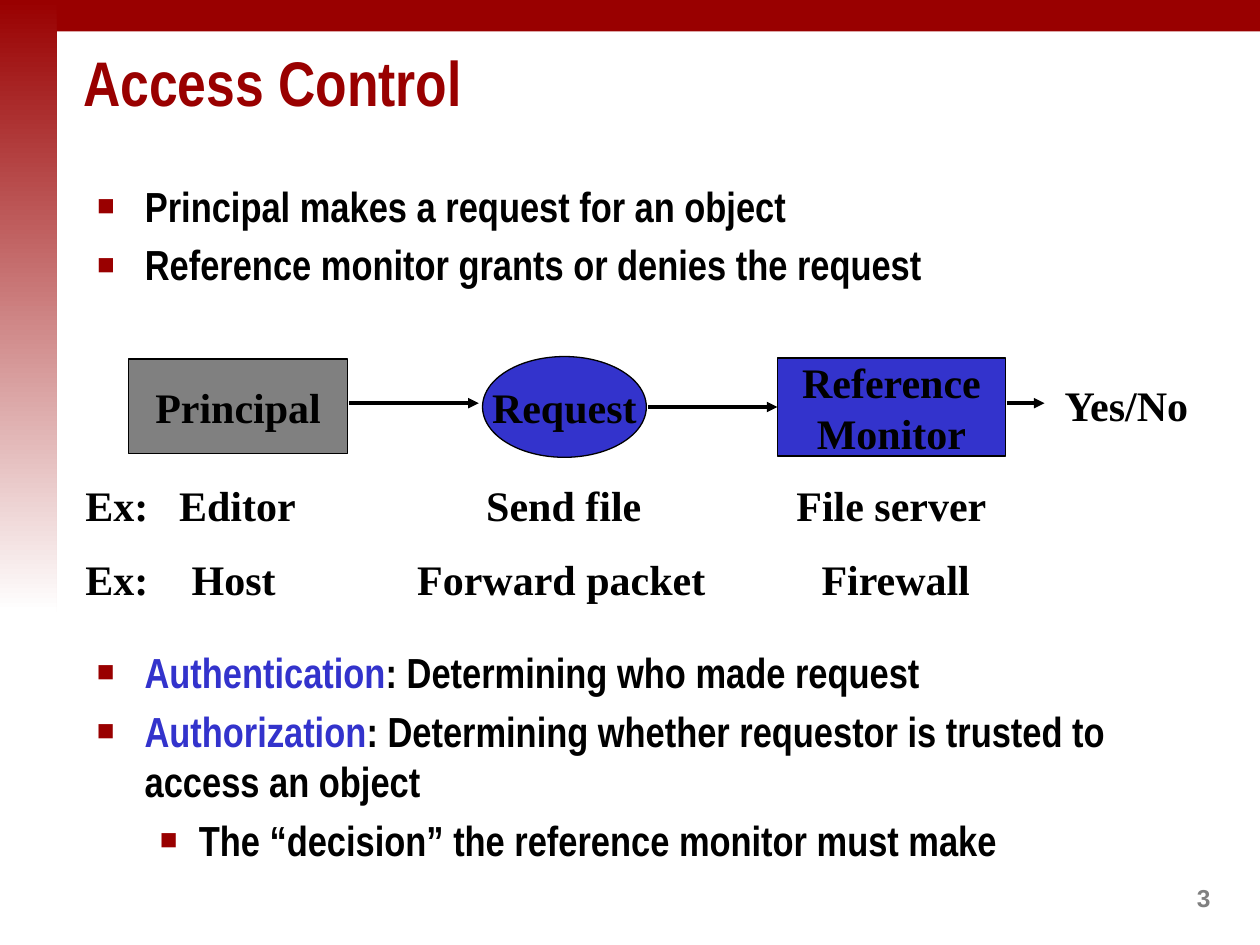
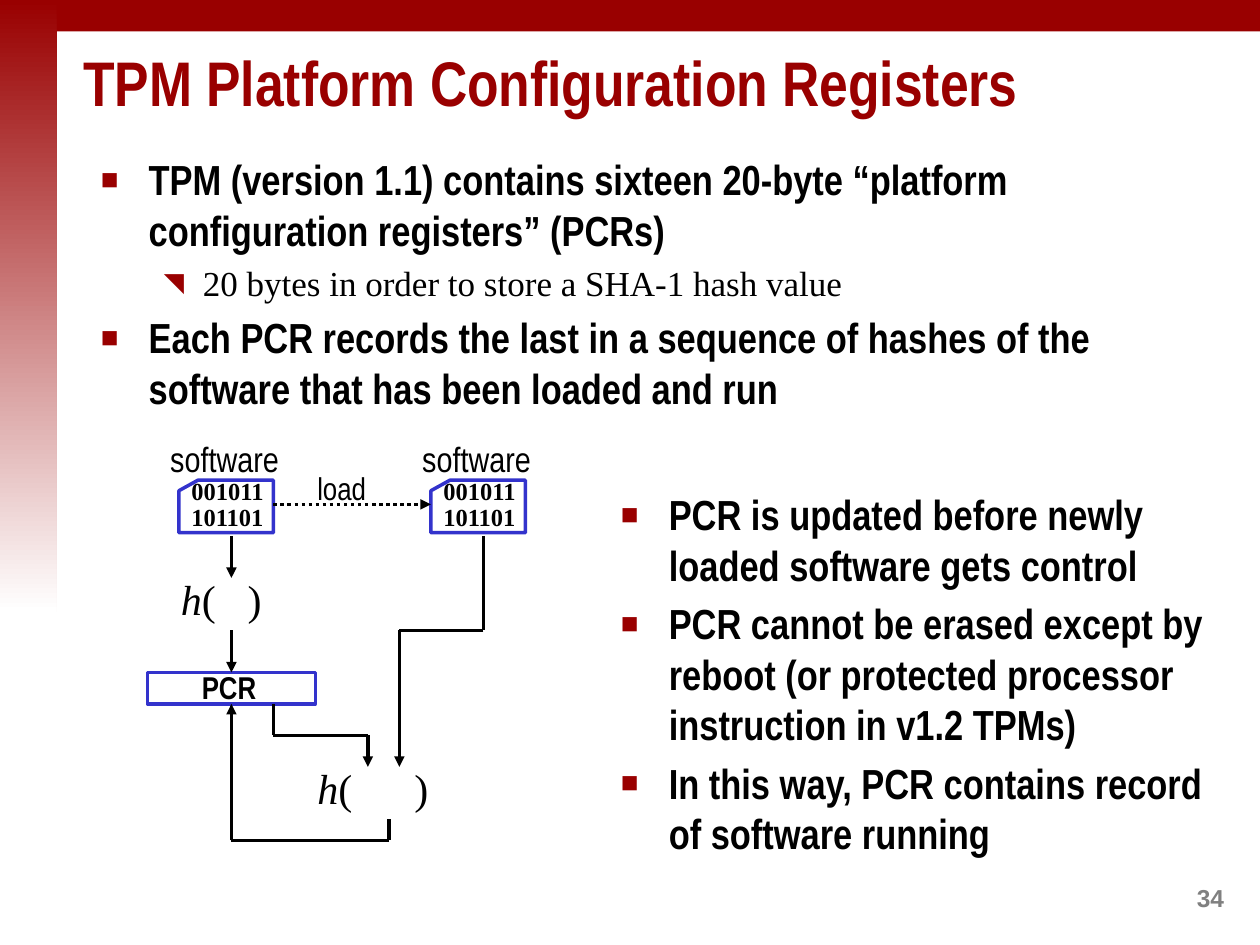
from pptx import Presentation
from pptx.dml.color import RGBColor
from pptx.enum.dml import MSO_LINE
from pptx.enum.shapes import MSO_CONNECTOR, MSO_SHAPE
from pptx.enum.text import MSO_ANCHOR, MSO_AUTO_SIZE, PP_ALIGN
from pptx.oxml.ns import qn
from pptx.util import Inches, Pt
from lxml import etree

RECT, OVAL, CARD = MSO_SHAPE.RECTANGLE, MSO_SHAPE.OVAL, MSO_SHAPE.FLOWCHART_CARD
STRAIGHT, DOTTED = MSO_CONNECTOR.STRAIGHT, MSO_LINE.ROUND_DOT
LEFT, CENTER = PP_ALIGN.LEFT, PP_ALIGN.CENTER
MIDDLE, TOP = MSO_ANCHOR.MIDDLE, MSO_ANCHOR.TOP

RED, BLUE, GRAY, BLACK, WHITE = "990000", "3333CC", "808080", "000000", "FFFFFF"
NARROW, SERIF = "Arial Narrow", "Times New Roman"

TITLE = dict(name=NARROW, size=36, bold=True, color=RED)
BODY = dict(name=NARROW, size=24, bold=True, color=BLACK)
TERM = dict(BODY, color=BLUE)
NOTE = dict(name=SERIF, size=20, bold=False, color=BLACK)
LABEL = dict(name=SERIF, size=24, bold=True, color=BLACK)
HASH = dict(LABEL, bold=False)
BITS = dict(LABEL, size=14)
SMALL = dict(name=NARROW, size=18, bold=False, color=BLACK)
NUMBER = dict(name="Arial", size=14, bold=True, color=GRAY)

# level: left margin, first line indent
INDENTS = {0: (0.38, -0.38), 1: (0.81, -0.31)}
SQUARE, CORNER = ("■", 70), ("◥", 75)


def rgb(color):
    return RGBColor.from_string(color)


class Grid:
    """Square cells of a given size in inches, counted from an origin."""

    def __init__(self, left, top, cell):
        self.left, self.top, self.cell = left, top, cell

    def point(self, col, row):
        return Inches(self.left + col * self.cell), Inches(self.top + row * self.cell)

    def box(self, col, row, cols, rows):
        return (*self.point(col, row), Inches(cols * self.cell), Inches(rows * self.cell))


PAGE = Grid(0, 0, 0.1)


def add_run(p, text, size, color, **fmt):
    r = p.add_run()
    r.text = text
    r.font.size = Pt(size)
    r.font.color.rgb = rgb(color)
    for key, value in fmt.items():
        setattr(r.font, key, value)


def paragraphs(tf, count):
    return [tf.paragraphs[0]] + [tf.add_paragraph() for _ in range(count - 1)]


def write(tf, lines, fmt, align=LEFT, anchor=TOP, wrap=False, spacing=1.0):
    tf.word_wrap, tf.vertical_anchor, tf.auto_size = wrap, anchor, MSO_AUTO_SIZE.NONE
    for p, line in zip(paragraphs(tf, len(lines)), lines):
        p.alignment, p.line_spacing = align, spacing
        add_run(p, line, **fmt)


def add_label(s, box, text, fmt, **layout):
    tf = s.shapes.add_textbox(*box).text_frame
    write(tf, text.split("\n"), fmt, **layout)


def add_bullet(p, char, percent):
    pPr = p._p.get_or_add_pPr()
    color = etree.SubElement(pPr, qn("a:buClr"))
    etree.SubElement(color, qn("a:srgbClr"), val=RED)
    etree.SubElement(pPr, qn("a:buSzPct"), val=str(percent * 1000))
    etree.SubElement(pPr, qn("a:buFont"), typeface="Arial")
    etree.SubElement(pPr, qn("a:buChar"), char=char)


def indent(p, margin, first):
    pPr = p._p.get_or_add_pPr()
    pPr.set("marL", str(Inches(margin)))
    pPr.set("indent", str(Inches(first)))


def fill_list(tf, items):
    """Each item is (level, bullet, runs), each run (text, format)."""
    tf.word_wrap, tf.auto_size = True, MSO_AUTO_SIZE.NONE
    for i, (p, (level, bullet, runs)) in enumerate(zip(paragraphs(tf, len(items)), items)):
        p.level = level
        p.space_before = Pt(0.2 * runs[0][1]["size"] if i else 0)
        indent(p, *INDENTS[level])
        add_bullet(p, *bullet)
        for text, fmt in runs:
            add_run(p, text, **fmt)


def point_item(text):
    return 0, SQUARE, [(text, BODY)]


def add_shape(s, kind, box, fill=None, line=None, width=0.75):
    sp = s.shapes.add_shape(kind, *box)
    sp.shadow.inherit = False
    if fill:
        sp.fill.solid()
        sp.fill.fore_color.rgb = rgb(fill)
    else:
        sp.fill.background()
    if line:
        sp.line.color.rgb = rgb(line)
        sp.line.width = Pt(width)
    else:
        sp.line.fill.background()
    return sp


def add_route(s, grid, *stops, dash=None):
    """Straight lines from stop to stop, with an arrowhead on the last."""
    for start, end in zip(stops, stops[1:]):
        line = s.shapes.add_connector(STRAIGHT, *grid.point(*start), *grid.point(*end))
        line.line.color.rgb = rgb(BLACK)
        line.line.width = Pt(2)
        if dash:
            line.line.dash_style = dash
        spPr = line._element.spPr
        if end is stops[-1]:
            etree.SubElement(spPr.find(qn("a:ln")), qn("a:tailEnd"), type="triangle")
        etree.SubElement(spPr, qn("a:effectLst"))


def place(holder, box):
    holder.left, holder.top, holder.width, holder.height = box
    return holder.text_frame


def add_slide(prs, title, number, body_box, items):
    s = prs.slides.add_slide(prs.slide_layouts[1])
    add_shape(s, RECT, PAGE.box(0, 0, 100, 2.5), RED)
    side = add_shape(s, RECT, PAGE.box(0, 0, 4.5, 48.6))
    side.fill.gradient()
    side.fill.gradient_angle = 270
    for stop, color in zip(side.fill.gradient_stops, (RED, WHITE)):
        stop.color.rgb = rgb(color)
    tf = place(s.shapes.title, PAGE.box(4.3, 2.3, 95.7, 8.3))
    write(tf, [title], TITLE, anchor=MIDDLE, wrap=True)
    indent(tf.paragraphs[0], 0.13, 0)
    fill_list(place(s.placeholders[1], body_box), items)
    add_label(s, PAGE.box(94, 69.6, 4.4, 3.3), str(number), NUMBER)
    return s


def add_list(s, box, items):
    fill_list(s.shapes.add_textbox(*box).text_frame, items)


def draw_request_flow(s, grid):
    nodes = [
        (RECT, (5.2, 0.5, 17.4, 7.5), GRAY, ["Principal"]),
        (OVAL, (33.3, 0.3, 13, 8), BLUE, ["Request"]),
        (RECT, (56.7, 0.4, 18.1, 7.8), BLUE, ["Reference", "Monitor"]),
    ]
    for kind, cells, fill, lines in nodes:
        sp = add_shape(s, kind, grid.box(*cells), fill, BLACK)
        write(sp.text_frame, lines, LABEL, align=CENTER, anchor=MIDDLE)
    for start, end, row in ((22.7, 33, 4), (46.4, 56.7, 4.3), (74.9, 77.9, 4)):
        add_route(s, grid, (start, row), (end, row))
    add_label(s, grid.box(78.5, 1.6, 12.2, 5), "Yes/No", LABEL)

    examples = [
        (9.6, [("Editor", 13.85), ("Send file", 39.75), ("File server", 65.75)]),
        (15.4, [("Host", 13.55), ("Forward packet", 39.55), ("Firewall", 66.1)]),
    ]
    width = 25
    for row, cells in examples:
        add_label(s, grid.box(0.8, row, 7, 5), "Ex:", LABEL)
        for text, middle in cells:
            add_label(s, grid.box(middle - width / 2, row, width, 5), text, LABEL, align=CENTER)


def draw_software(s, grid, col):
    add_label(s, grid.box(col, 4, 9.4, 6.2), "001011\n101101", BITS, spacing=0.9)
    add_shape(s, CARD, grid.box(col, 4.7, 9, 5), line=BLUE, width=2)
    add_label(s, grid.box(col - 2, 0, 12.7, 5.2), "software", dict(SMALL, size=20))


def draw_hash(s, box, gap_end):
    """h( ) with the closing bracket at a tab stop."""
    tf = s.shapes.add_textbox(*box).text_frame
    tf.word_wrap, tf.margin_right = True, 0
    p = tf.paragraphs[0]
    tabs = etree.SubElement(p._p.get_or_add_pPr(), qn("a:tabLst"))
    etree.SubElement(tabs, qn("a:tab"), pos=str(Inches(gap_end)), algn="l")
    add_run(p, "h", italic=True, **HASH)
    add_run(p, "(\t)", **HASH)


def draw_register_chain(s, grid):
    add_shape(s, RECT, grid.box(0, 23, 16, 3), line=BLUE, width=2)
    add_label(s, grid.box(4, 22, 7.6, 4.8), "PCR", dict(SMALL, bold=True))
    for col in (3, 27):
        draw_software(s, grid, col)
    add_label(s, grid.box(15, 3, 7, 4.8), "load", SMALL)
    draw_hash(s, grid.box(2, 13, 10, 6), 0.53)
    draw_hash(s, grid.box(15, 31, 13, 6), 0.77)
    add_route(s, grid, (12, 7), (27, 7), dash=DOTTED)
    routes = [
        [(8, 10), (8, 14)],
        [(8, 19), (8, 23)],
        [(12, 26), (12, 29), (21, 29), (21, 32)],
        [(32, 10), (32, 19), (24, 19), (24, 32)],
        [(23, 37), (23, 39), (8, 39), (8, 26)],
    ]
    for stops in routes:
        add_route(s, grid, *stops)


def build_access_control(prs):
    s = add_slide(prs, "Access Control", 3, PAGE.box(6.7, 13.8, 86.4, 14.9), [
        point_item("Principal makes a request for an object"),
        point_item("Reference monitor grants or denies the request"),
    ])
    draw_request_flow(s, Grid(0.5, 2.8, 0.1))
    add_list(s, PAGE.box(6.7, 50.8, 86.4, 14.9), [
        (0, SQUARE, [("Authentication", TERM), (": Determining who made request", BODY)]),
        (0, SQUARE, [("Authorization", TERM),
                     (": Determining whether requestor is trusted to access an object", BODY)]),
        (1, SQUARE, [("The “decision” the reference monitor must make", BODY)]),
    ])


def build_registers(prs):
    s = add_slide(prs, "TPM Platform Configuration Registers", 34, PAGE.box(7, 11.7, 86.4, 22.5), [
        point_item("TPM (version 1.1) contains sixteen 20-byte “platform "
                   "configuration registers” (PCRs)"),
        (1, CORNER, [("20 bytes in order to store a SHA-1 hash value", NOTE)]),
        point_item("Each PCR records the last in a sequence of hashes of the "
                   "software that has been loaded and run"),
    ])
    draw_register_chain(s, Grid(1.17, 3.42, 1 / 12))
    add_list(s, PAGE.box(48.3, 38.3, 50, 27.5), [
        point_item("PCR is updated before newly loaded software gets control"),
        point_item("PCR cannot be erased except by reboot (or protected processor "
                   "instruction in v1.2 TPMs)"),
        point_item("In this way, PCR contains record of software running"),
    ])


def main():
    prs = Presentation()
    prs.slide_width, prs.slide_height = Inches(10), Inches(7.5)
    build_access_control(prs)
    build_registers(prs)
    prs.save("out.pptx")


if __name__ == "__main__":
    main()
